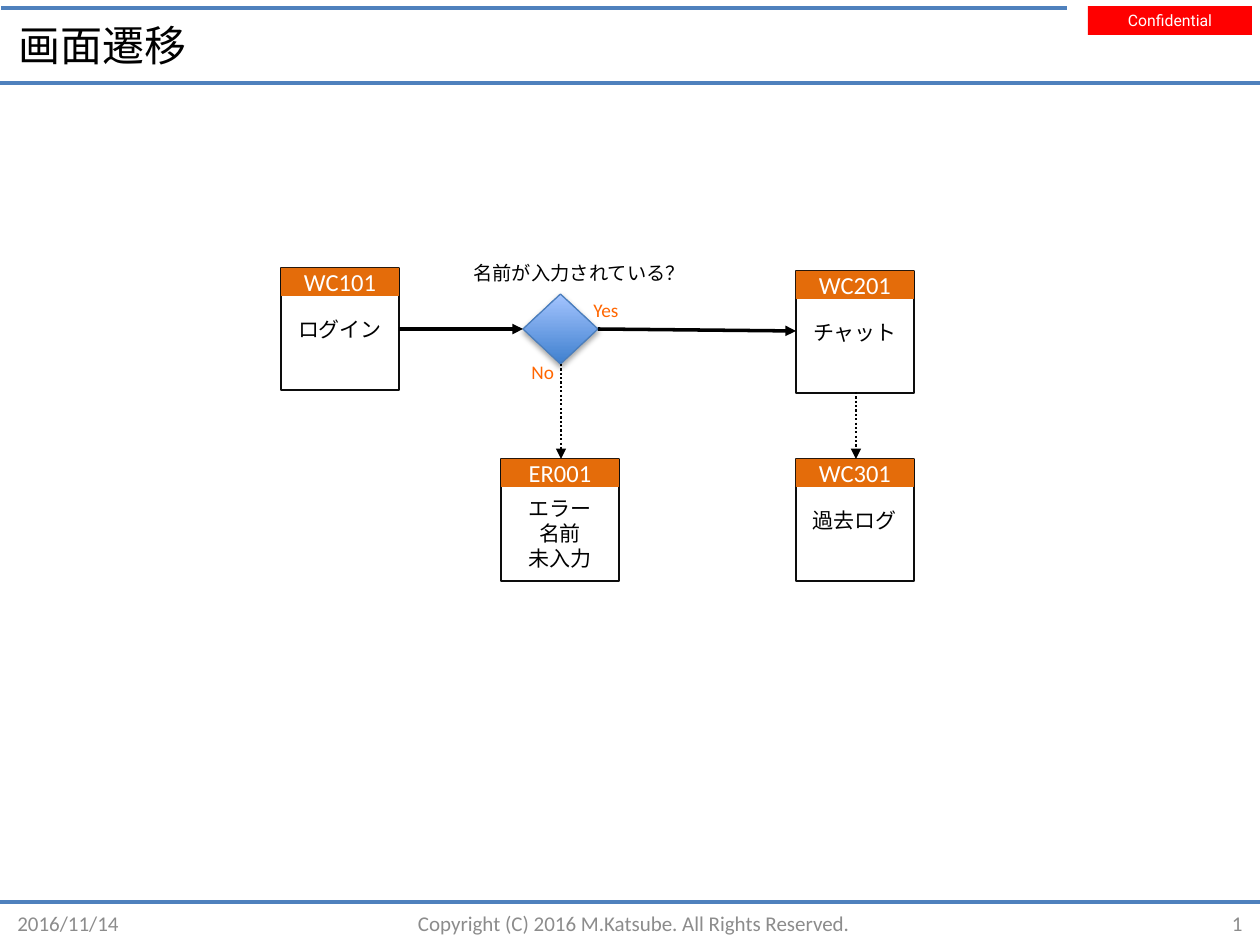
from dataclasses import dataclass

from lxml import etree
from pptx import Presentation
from pptx import util as u
from pptx.dml import color
from pptx.enum import dml, shapes, text
from pptx.oxml import ns

PX = 914400 / 126
COLORS = {
    "rule": "4F81BD", "alert": "FF0000", "white": "FFFFFF", "black": "000000",
    "muted": "8C8C8C", "border": "0D0D0D", "header": "E46C0A",
    "branch": "FF6600", "diamond_line": "4B7EBC",
    "diamond_bottom": "3F80CE", "diamond_top": "A4C4FF",
}
LEFT, CENTER, RIGHT = (text.PP_ALIGN.LEFT, text.PP_ALIGN.CENTER,
                       text.PP_ALIGN.RIGHT)
TOP, MIDDLE = text.MSO_ANCHOR.TOP, text.MSO_ANCHOR.MIDDLE
CARD_W, CARD_H, HEADER_H = 118, 122, 28


@dataclass(frozen=True)
class Box:
    x: int
    y: int
    w: int
    h: int


@dataclass(frozen=True)
class Style:
    size: int
    color: str = "black"
    align: text.PP_ALIGN = LEFT
    anchor: text.MSO_ANCHOR = MIDDLE
    font: str = "Calibri"
    wrap: bool = True


@dataclass(frozen=True)
class Label:
    words: str
    box: Box
    style: Style


@dataclass(frozen=True)
class Card:
    code: str
    name: str
    x: int
    y: int
    inset_top: int = 6


@dataclass(frozen=True)
class Line:
    x1: int
    y1: int
    x2: int
    y2: int
    color: str = "rule"
    width: float = 2
    arrow: bool = False
    dotted: bool = False


HEADER = Style(14, "white", CENTER)
BODY = Style(12, align=CENTER)
BRANCH = Style(11, "branch", anchor=TOP, wrap=False)

RULES = [Line(0, 83, 1260, 83), Line(0, 902, 1260, 902), Line(1, 8, 1067, 8)]
LABELS = [
    Label("画面遷移", Box(6, 15, 1027, 59), Style(24)),
    Label("2016/11/14", Box(5, 911, 178, 25), Style(12, "muted")),
    Label("Copyright (C) 2016 M.Katsube. All Rights Reserved.",
          Box(217, 911, 834, 25), Style(12, "muted", CENTER)),
    Label("1", Box(1089, 911, 166, 25), Style(12, "muted", RIGHT)),
    Label("名前が入力されている？", Box(461, 255, 229, 37),
          Style(11, anchor=TOP)),
    Label("No", Box(519, 354, 48, 37), BRANCH),
    Label("Yes", Box(581, 292, 52, 37), BRANCH),
]
CARDS = [
    Card("WC101", "ログイン", 281, 268),
    Card("WC201", "チャット", 796, 271),
    Card("WC301", "過去ログ", 796, 459),
    Card("ER001", "エラー\n名前\n未入力", 501, 459, inset_top=32),
]
ARROWS = [
    Line(399, 329, 523, 329, "black", 2, arrow=True),
    Line(598, 329, 796, 331, "black", 2, arrow=True),
    Line(856, 392, 856, 459, "black", 1.25, arrow=True, dotted=True),
    Line(561, 364, 561, 459, "black", 1.25, arrow=True, dotted=True),
]


def px(n: int) -> u.Emu:
    return u.Emu(round(n * PX))


def rgb(name: str) -> color.RGBColor:
    return color.RGBColor.from_string(COLORS[name])


def place(box: Box) -> list[u.Emu]:
    return [px(n) for n in (box.x, box.y, box.w, box.h)]


def write(sp, words: str, style: Style, **margins: u.Emu) -> None:
    tf = sp.text_frame
    frame = {"word_wrap": style.wrap, "vertical_anchor": style.anchor, **margins}
    for key, value in frame.items():
        setattr(tf, key, value)
    font = {"name": style.font, "size": u.Pt(style.size)}
    for i, line in enumerate(words.split("\n")):
        p = tf.add_paragraph() if i else tf.paragraphs[0]
        p.alignment = style.align
        r = p.add_run()
        r.text = line
        for key, value in font.items():
            setattr(r.font, key, value)
        r.font.color.rgb = rgb(style.color)


def add_box(s, kind, box: Box, fill: str | None = None,
            line: str | None = None):
    sp = s.shapes.add_shape(kind, *place(box))
    sp.shadow.inherit = False
    if fill:
        sp.fill.solid()
        sp.fill.fore_color.rgb = rgb(fill)
    if line:
        sp.line.color.rgb = rgb(line)
        sp.line.width = u.Pt(0.75)
    else:
        sp.line.fill.background()
    return sp


def add_label(s, label: Label) -> None:
    write(s.shapes.add_textbox(*place(label.box)), label.words, label.style)


def add_card(s, card: Card) -> None:
    rect = shapes.MSO_SHAPE.RECTANGLE
    body = add_box(s, rect, Box(card.x, card.y, CARD_W, CARD_H),
                   "white", "border")
    write(body, card.name, BODY, margin_top=px(card.inset_top))
    header = add_box(s, rect, Box(card.x, card.y, CARD_W, HEADER_H), "header")
    write(header, card.code, HEADER)


def add_line(s, line: Line) -> None:
    ends = [px(n) for n in (line.x1, line.y1, line.x2, line.y2)]
    cx = s.shapes.add_connector(shapes.MSO_CONNECTOR.STRAIGHT, *ends)
    cx.line.color.rgb = rgb(line.color)
    cx.line.width = u.Pt(line.width)
    if line.dotted:
        cx.line.dash_style = dml.MSO_LINE.ROUND_DOT
    if line.arrow:
        ln = cx.line._get_or_add_ln()
        etree.SubElement(ln, ns.qn("a:tailEnd"), type="triangle")
    etree.SubElement(cx._element.spPr, ns.qn("a:effectLst"))


def add_decision(s, box: Box) -> None:
    """Draw the shaded diamond with a soft shadow below it."""
    sp = add_box(s, shapes.MSO_SHAPE.DIAMOND, box, line="diamond_line")
    sp.fill.gradient()
    sp.fill.gradient_angle = 90
    for stop, name in zip(sp.fill.gradient_stops,
                          ("diamond_bottom", "diamond_top")):
        stop.color.rgb = rgb(name)
    effects = sp._element.spPr.find(ns.qn("a:effectLst"))
    shadow = etree.SubElement(effects, ns.qn("a:outerShdw"), blurRad="40000",
                              dist="23000", dir="5400000", rotWithShape="0")
    tint = etree.SubElement(shadow, ns.qn("a:srgbClr"), val=COLORS["black"])
    etree.SubElement(tint, ns.qn("a:alpha"), val="35000")


def main() -> None:
    prs = Presentation()
    prs.slide_width, prs.slide_height = px(1260), px(945)
    s = prs.slides.add_slide(prs.slide_layouts[6])
    for rule in RULES:
        add_line(s, rule)
    badge = add_box(s, shapes.MSO_SHAPE.RECTANGLE, Box(1088, 6, 164, 29),
                    "alert")
    sides = ("left", "top", "right", "bottom")
    write(badge, "Confidential", Style(9, "white", CENTER, TOP, "Roboto"),
          **{f"margin_{side}": px(5) for side in sides})
    for card in CARDS:
        add_card(s, card)
    add_decision(s, Box(523, 294, 75, 70))
    for arrow in ARROWS:
        add_line(s, arrow)
    for label in LABELS:
        add_label(s, label)
    prs.save("out.pptx")


if __name__ == "__main__":
    main()
